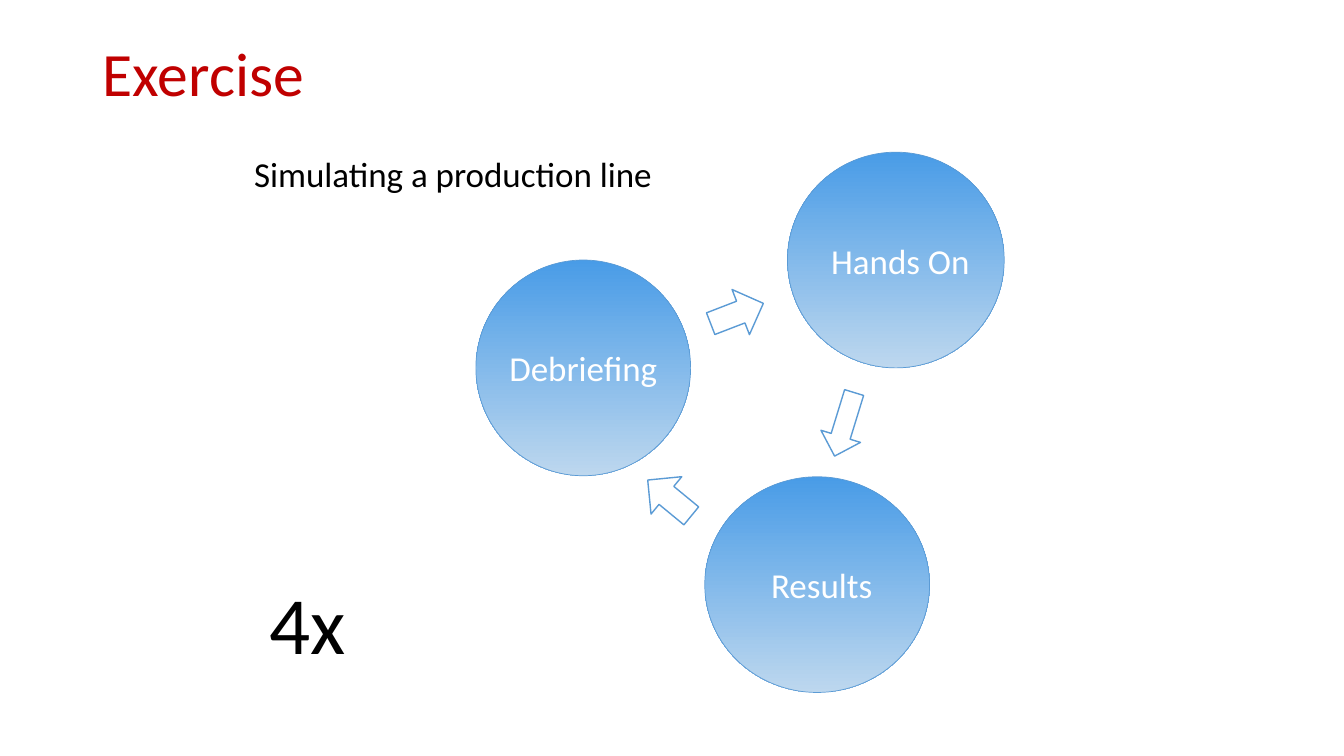
from lxml import etree
from pptx import Presentation
from pptx.dml.color import RGBColor
from pptx.enum.shapes import MSO_SHAPE
from pptx.enum.text import MSO_ANCHOR, MSO_AUTO_SIZE, PP_ALIGN
from pptx.oxml.ns import qn
from pptx.util import Inches, Pt

OVAL, DOWN_ARROW = MSO_SHAPE.OVAL, MSO_SHAPE.DOWN_ARROW
TOP, MIDDLE = MSO_ANCHOR.TOP, MSO_ANCHOR.MIDDLE
LEFT, CENTER = PP_ALIGN.LEFT, PP_ALIGN.CENTER
NO_AUTOFIT = MSO_AUTO_SIZE.NONE
TITLE_AND_CONTENT = 1

CIRCLE_HEIGHT = 2.14
TEXT_MARGINS = (0.1, 0.05, 0.1, 0.05)
SIDE_MARGINS = (0.09, 0.04, 0, 0.04)
CIRCLES = [  # label, left, top, width, margins
    ("Hands On", 7.81, 1.51, 2.15, SIDE_MARGINS),
    ("Results", 6.99, 4.73, 2.23, SIDE_MARGINS),
    ("Debriefing", 4.72, 2.58, 2.13, (0, 0.24, 0, 0.24)),
]
ARROWS = [  # left, top, width, height, rotation
    (7.07, 2.83, 0.48, 0.56, 248.9),
    (6.4, 4.66, 0.48, 0.56, 129.4),
    (8.17, 3.88, 0.41, 0.66, 17.1),
]


def color(hex_value):
    return RGBColor.from_string(hex_value)


class SlideBuilder:
    font = "Calibri"
    red, black, white = "C00000", "000000", "FFFFFF"
    outline = "5B9BD5"
    gradient = ("499CE7", "BDD7EE")
    label_size = 25

    def __init__(self, slide):
        self.slide = slide

    def set_text(self, shape, text, size, hex_value, align=LEFT, anchor=TOP,
                 margins=TEXT_MARGINS):
        """Fill the first paragraph with one styled run and return it."""
        frame = shape.text_frame
        frame.word_wrap = True
        frame.auto_size = NO_AUTOFIT
        frame.vertical_anchor = anchor
        (frame.margin_left, frame.margin_top,
         frame.margin_right, frame.margin_bottom) = map(Inches, margins)
        paragraph = frame.paragraphs[0]
        paragraph.alignment = align
        paragraph.space_before = Pt(0)
        run = paragraph.add_run()
        run.text = text
        run.font.name = self.font
        run.font.size = Pt(size)
        run.font.color.rgb = color(hex_value)
        return paragraph

    def place(self, shape, left, top, width, height):
        shape.left, shape.top = Inches(left), Inches(top)
        shape.width, shape.height = Inches(width), Inches(height)

    def title(self, text, *box):
        shape = self.slide.shapes.title
        self.place(shape, *box)
        paragraph = self.set_text(shape, text, 44, self.red, anchor=MIDDLE)
        paragraph.line_spacing = 0.9
        paragraph.add_line_break()

    def body(self, text, *box):
        shape = self.slide.placeholders[1]
        self.place(shape, *box)
        paragraph = self.set_text(shape, text, self.label_size, self.black)
        paragraph.line_spacing = 0.9
        properties = paragraph._p.get_or_add_pPr()
        properties.set("marL", "0")
        properties.set("indent", "0")
        etree.SubElement(properties, qn("a:buNone"))

    def text_box(self, text, size, *box):
        shape = self.slide.shapes.add_textbox(*map(Inches, box))
        self.set_text(shape, text, size, self.black, margins=(0.09, 0.04, 0.09, 0.04))

    def outlined_shape(self, kind, box, line_width):
        shape = self.slide.shapes.add_shape(kind, *map(Inches, box))
        shape.shadow.inherit = False
        shape.line.color.rgb = color(self.outline)
        shape.line.width = Pt(line_width)
        return shape

    def circle(self, label, left, top, width, margins):
        shape = self.outlined_shape(OVAL, (left, top, width, CIRCLE_HEIGHT), 0.5)
        shape.fill.gradient()
        shape.fill.gradient_angle = 270
        for stop, hex_value in zip(shape.fill.gradient_stops, self.gradient):
            stop.color.rgb = color(hex_value)
        self.set_text(shape, label, self.label_size, self.white, CENTER, MIDDLE, margins)

    def arrow(self, left, top, width, height, rotation):
        shape = self.outlined_shape(DOWN_ARROW, (left, top, width, height), 1)
        shape.fill.solid()
        shape.fill.fore_color.rgb = color(self.white)
        shape.adjustments[0] = 0.48
        shape.adjustments[1] = 0.5
        shape.rotation = rotation


def main():
    presentation = Presentation()
    presentation.slide_width = Inches(13.33)
    presentation.slide_height = Inches(7.5)
    layout = presentation.slide_layouts[TITLE_AND_CONTENT]
    builder = SlideBuilder(presentation.slides.add_slide(layout))

    builder.title("Exercise", 0.92, 0.4, 11.5, 1.45)
    builder.body("Simulating a production line", 2.42, 1.51, 4.55, 0.65)
    for circle in CIRCLES:
        builder.circle(*circle)
    for arrow in ARROWS:
        builder.arrow(*arrow)
    builder.text_box("4x", 58, 2.58, 5.65, 1.32, 1.06)

    presentation.save("out.pptx")


if __name__ == "__main__":
    main()
